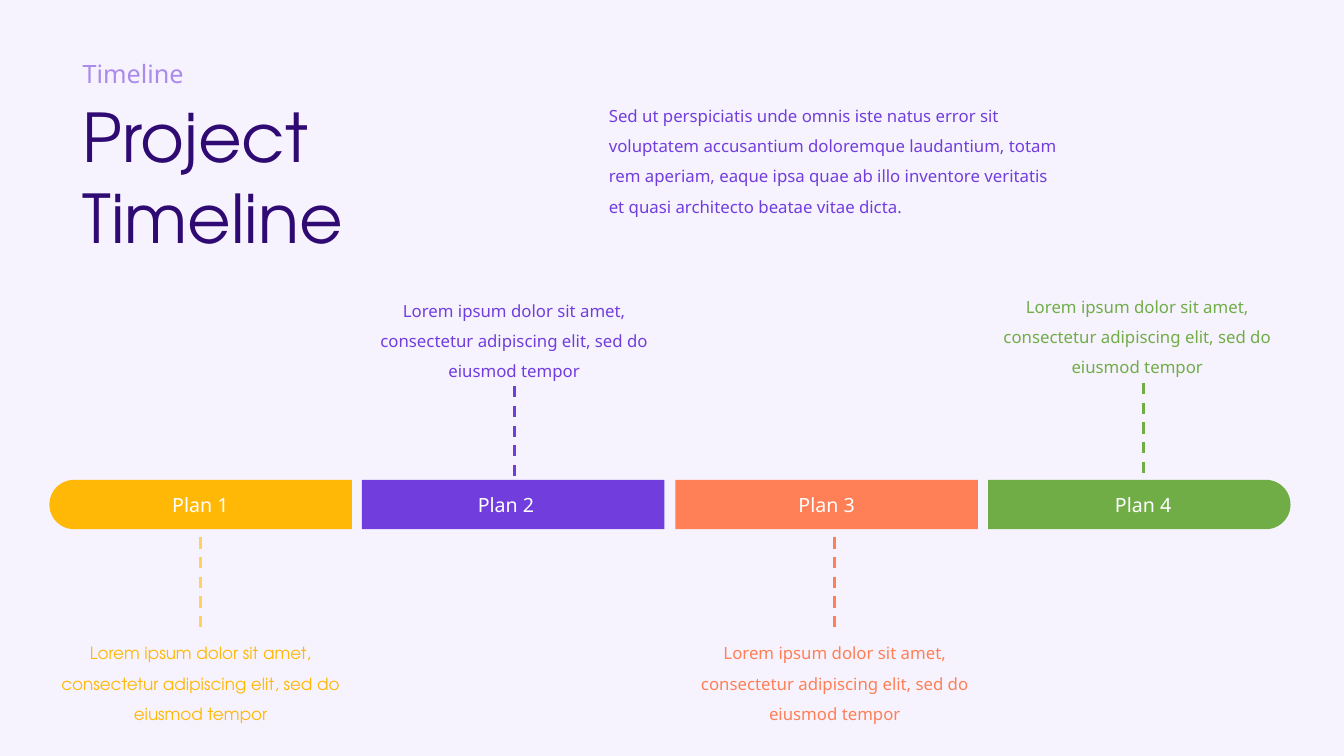
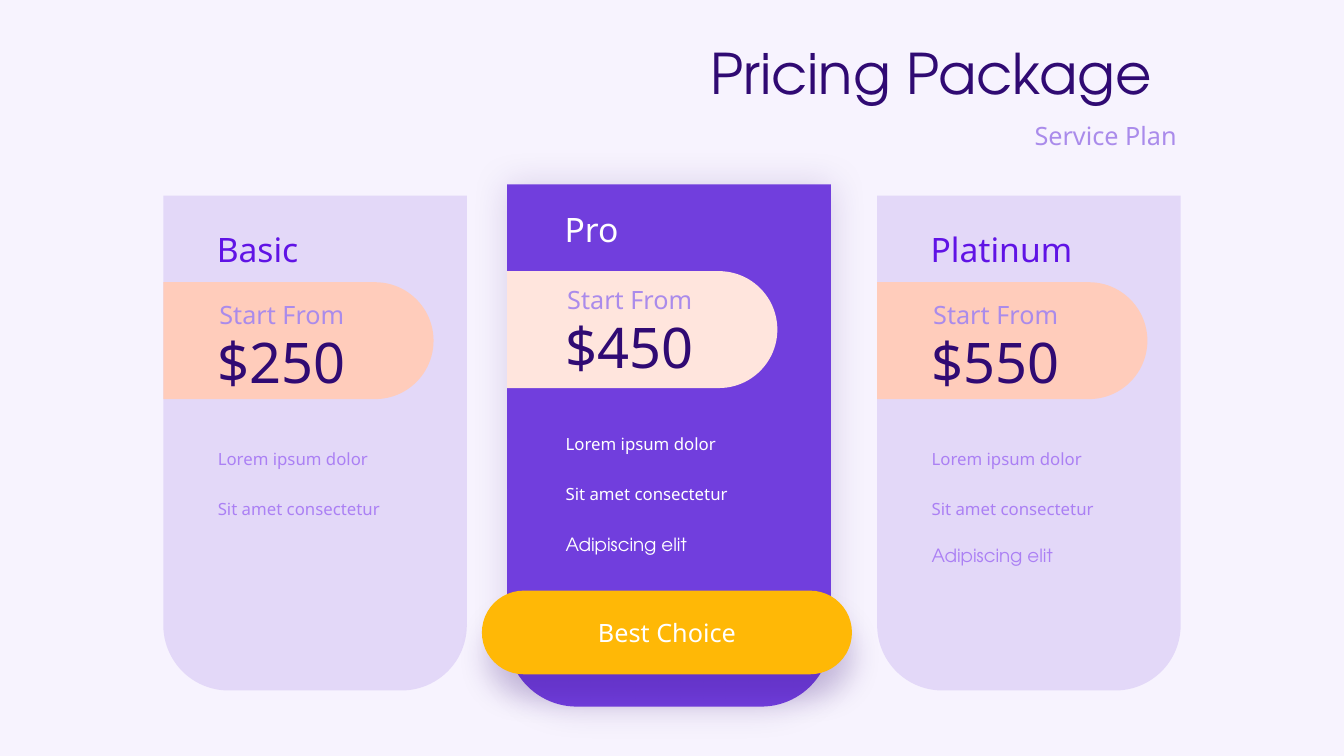
from lxml import etree
from pptx import Presentation
from pptx import util as u
from pptx.dml.color import RGBColor
from pptx.enum import dml, shapes, text
from pptx.oxml import ns

SCALE = 9144
COLORS = {
    "paper": "F7F3FE",
    "ink": "300A73",
    "soft": "AA8BEB",
    "item": "AB80F4",
    "violet": "713EDD",
    "vivid": "6013E5",
    "lilac": "E3D8F8",
    "amber": "FFB806",
    "honey": "FFD15D",
    "coral": "FF7F56",
    "peach": "FFCCBB",
    "blush": "FFE5DD",
    "green": "70AD47",
    "white": "FFFFFF",
}
BODY, DISPLAY = "Noto Sans", "TeX Gyre Adventor"
FONTS = {
    "title": {"name": DISPLAY, "size": u.Pt(48)},
    "headline": {"name": DISPLAY, "size": u.Pt(40)},
    "subtitle": {"name": BODY, "size": u.Pt(18)},
    "price": {"name": BODY, "size": u.Pt(40)},
    "name": {"name": BODY, "size": u.Pt(24)},
    "label": {"name": BODY, "size": u.Pt(14)},
    "body": {"name": BODY, "size": u.Pt(12)},
    "body display": {"name": DISPLAY, "size": u.Pt(12)},
    "item display": {"name": DISPLAY, "size": u.Pt(13)},
}
LEFT, CENTER, RIGHT = (text.PP_ALIGN.LEFT, text.PP_ALIGN.CENTER,
                       text.PP_ALIGN.RIGHT)
TAB = shapes.MSO_SHAPE.ROUND_2_SAME_RECTANGLE
PILL = shapes.MSO_SHAPE.ROUNDED_RECTANGLE


def px(*lengths):
    return [u.Emu(round(length * SCALE)) for length in lengths]


def apply(target, values):
    for name, value in values.items():
        setattr(target, name, value)


class Deck:
    def __init__(self, width, height):
        self.deck = Presentation()
        self.deck.slide_width, self.deck.slide_height = px(width, height)
        self.page = None

    def color(self, name):
        return RGBColor.from_string(COLORS[name])

    def add_page(self):
        self.page = self.deck.slides.add_slide(self.deck.slide_layouts[6])
        fill = self.page.background.fill
        fill.solid()
        fill.fore_color.rgb = self.color("paper")

    def set_words(self, frame, words, font, color, align=LEFT, spacing=1.0,
                  inset=(10, 5), anchor=text.MSO_ANCHOR.TOP):
        side, edge = px(*inset)
        apply(frame, {
            "word_wrap": True,
            "auto_size": text.MSO_AUTO_SIZE.NONE,
            "vertical_anchor": anchor,
            "margin_left": side,
            "margin_right": side,
            "margin_top": edge,
            "margin_bottom": edge,
        })
        para = frame.paragraphs[0]
        apply(para, {"alignment": align, "line_spacing": spacing})
        span = para.add_run()
        span.text = words
        apply(span.font, FONTS[font])
        span.font.color.rgb = self.color(color)

    def text(self, words, area, font, color, **layout):
        box = self.page.shapes.add_textbox(*px(*area))
        self.set_words(box.text_frame, words, font, color, **layout)
        return box

    def shape(self, kind, area, color, corners, turn=0, shadow=None):
        left, top, width, height = area
        if turn:
            shift = (width - height) / 2
            left, top, width, height = left + shift, top - shift, height, width
        shape = self.page.shapes.add_shape(
            kind, *px(left, top, width, height))
        shape.rotation = turn
        for index, corner in enumerate(corners):
            shape.adjustments[index] = corner
        shape.fill.solid()
        shape.fill.fore_color.rgb = self.color(color)
        shape.line.fill.background()
        shape.shadow.inherit = False
        if shadow:
            self.cast(shape, **shadow)
        return shape

    def cast(self, shape, opacity, blur, distance=0, angle=0):
        effects = shape.element.spPr.find(ns.qn("a:effectLst"))
        outer = etree.SubElement(
            effects, ns.qn("a:outerShdw"), blurRad=str(u.Pt(blur)),
            dist=str(u.Pt(distance)), dir=str(angle * 60000),
            algn="ctr", rotWithShape="0")
        tint = etree.SubElement(outer, ns.qn("a:srgbClr"), val=COLORS["ink"])
        etree.SubElement(tint, ns.qn("a:alpha"), val=str(opacity * 1000))

    def dashes(self, x, top, bottom, color, target=None):
        line = self.page.shapes.add_connector(
            shapes.MSO_CONNECTOR.STRAIGHT, *px(x, top, x, bottom))
        apply(line.line, {"width": u.Pt(2),
                          "dash_style": dml.MSO_LINE.DASH})
        line.line.color.rgb = self.color(color)
        etree.SubElement(line.element.spPr, ns.qn("a:effectLst"))
        if target is not None:
            line.end_connect(target, 0)

    def card(self, area, origin, name, name_gap, price, items, card_color,
             band_color, name_color, item_color, shadow=None):
        left, top, _, _ = area
        x, y = origin
        inset = (13, 13)
        self.shape(TAB, area, card_color, (0, 0.215), shadow=shadow)
        self.shape(TAB, (left, top + 86, 268, 116), band_color, (0.5, 0),
                   turn=90)
        self.text(name, (x - 1, y + name_gap, 181, 58), "name", name_color,
                  inset=inset)
        self.text(price, (x - 14, y + 118, 181, 58), "price", "ink",
                  align=CENTER, inset=inset)
        self.text("Start From", (x - 14, y + 90, 181, 45), "subtitle", "soft",
                  align=CENTER, inset=inset)
        for words, gap, font in items:
            self.text(words, (x, y + gap, 219, 45), font, item_color,
                      inset=inset)


def timeline(deck):
    deck.add_page()
    deck.text("Project Timeline", (72, 90, 487, 160), "title", "ink")
    deck.text("Timeline", (72, 53, 201, 37), "subtitle", "soft")
    deck.text("Sed ut perspiciatis unde omnis iste natus error sit voluptatem "
              "accusantium doloremque laudantium, totam rem aperiam, eaque "
              "ipsa quae ab illo inventore veritatis et quasi architecto "
              "beatae vitae dicta.",
              (594, 90, 474, 96), "body", "violet", spacing=1.5)
    plans = [
        ("amber", (0.5, 0), 161, (49, 623), "body display", "honey",
         (199, 533)),
        ("violet", (0, 0), 464, (360, 283), "body", "violet", (510, 383)),
        ("coral", (0, 0), 782, (678, 623), "body", "coral", (828, 533)),
        ("green", (0, 0.5), 1096, (978, 279), "body", "green", (1134, 380)),
    ]
    for index, plan in enumerate(plans):
        color, corners, label_left, note_at, font, dash_color, dash_at = plan
        deck.shape(TAB, (49 + index * 621 // 2, 476, 300, 49), color, corners,
                   turn=270)
        deck.text(f"Plan {index + 1}", (label_left, 484, 91, 34), "label",
                  "white")
        note = deck.text("Lorem ipsum dolor sit amet, consectetur adipiscing "
                         "elit, sed do eiusmod tempor", (*note_at, 300, 96),
                         font, color, align=CENTER, spacing=1.5)
        x, top = dash_at
        below = note_at[1] > 476
        deck.dashes(x, top, top + 90, dash_color, note if below else None)


def pricing(deck):
    deck.add_page()
    deck.text("Pricing Package", (667, 25, 513, 76), "headline", "ink",
              align=CENTER, inset=(13, 13))
    deck.text("Service Plan", (779, 106, 401, 58), "subtitle", "soft",
              align=RIGHT, inset=(13, 13))
    items = [("Lorem ipsum dolor", 238, "body"),
             ("Sit amet consectetur", 288, "body")]
    last = "Adipiscing elit"
    quiet = {"card_color": "lilac", "band_color": "peach",
             "name_color": "vivid", "item_color": "item", "name_gap": 20}
    deck.card((503, 183, 321, 518), (548, 179), "Pro", 15, "$450",
              items + [(last, 337, "item display")], "violet", "blush",
              "white", "white", shadow={"opacity": 17, "blur": 26})
    deck.card((162, 194, 301, 491), (203, 194), name="Basic", price="$250",
              items=items, **quiet)
    button = deck.shape(PILL, (478, 586, 367, 83), "amber", (0.5,),
                        shadow={"opacity": 18, "blur": 20, "distance": 17,
                                "angle": 84})
    deck.set_words(button.text_frame, "Best Choice", "subtitle", "white",
                   align=CENTER, anchor=text.MSO_ANCHOR.MIDDLE)
    deck.card((870, 194, 301, 491), (911, 194), name="Platinum", price="$550",
              items=items + [(last, 333, "item display")], **quiet)


def main():
    deck = Deck(1333, 750)
    timeline(deck)
    pricing(deck)
    deck.deck.save("out.pptx")


if __name__ == "__main__":
    main()
